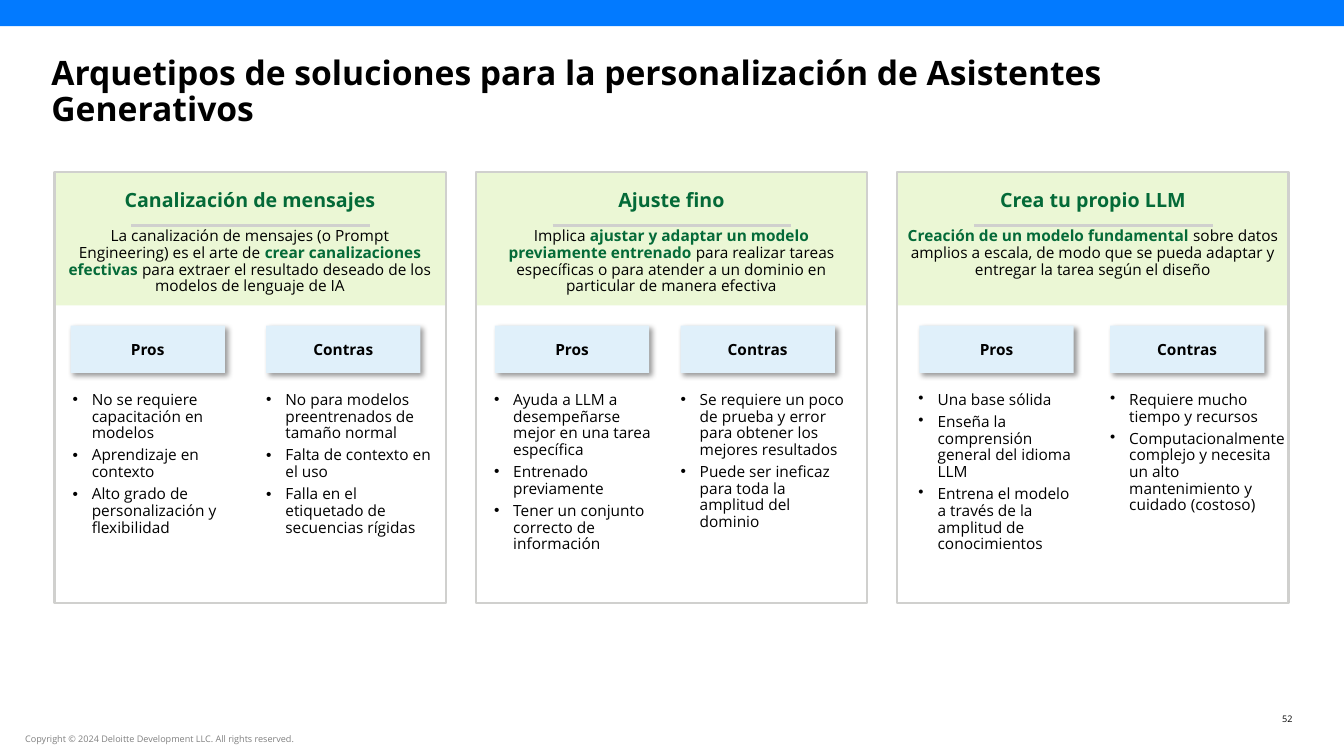
import dataclasses

import lxml.etree
import pptx
import pptx.dml.color
import pptx.enum.shapes
import pptx.enum.text
import pptx.oxml
import pptx.oxml.ns
import pptx.util

Inches = pptx.util.Inches
Pt = pptx.util.Pt
ALIGN = pptx.enum.text.PP_ALIGN
ANCHOR = pptx.enum.text.MSO_ANCHOR


@dataclasses.dataclass(frozen=True)
class Theme:
    font: str = "Open Sans"
    text: str = "000000"
    accent: str = "046A38"
    muted: str = "808080"
    bar: str = "027AFF"
    header: str = "EBF7D5"
    chip: str = "E0F0FA"
    rule: str = "D0D0CE"
    title_size: float = 24
    heading_size: float = 14
    body_size: float = 11
    small_size: float = 6.5


class SlideBuilder:
    def __init__(self, prs, theme):
        self.theme = theme
        self.slide = prs.slides.add_slide(prs.slide_layouts[4])
        self.shapes = self.slide.shapes
        self.bodies = iter([ph for ph in self.slide.placeholders
                            if ph.placeholder_format.idx > 0])

    def color(self, value):
        return pptx.dml.color.RGBColor.from_string(value)

    def place(self, sp, box):
        for name, value in zip(("left", "top", "width", "height"), box):
            setattr(sp, name, Inches(value))

    def frame(self, sp, inset=(0, 0), anchor=ANCHOR.TOP):
        tf = sp.text_frame
        x, y = map(Inches, inset)
        values = {"margin_left": x, "margin_right": x, "margin_top": y,
                  "margin_bottom": y, "word_wrap": True,
                  "vertical_anchor": anchor,
                  "auto_size": pptx.enum.text.MSO_AUTO_SIZE.NONE}
        for name, value in values.items():
            setattr(tf, name, value)
        return tf

    def paragraph(self, tf, runs, size, align=ALIGN.LEFT, before=0, after=0,
                  spacing=0.9, bullet=False):
        first = not tf.paragraphs[0].runs
        p = tf.paragraphs[0] if first else tf.add_paragraph()
        values = {"alignment": align, "line_spacing": spacing,
                  "space_before": Pt(0 if first else before),
                  "space_after": Pt(after)}
        for name, value in values.items():
            setattr(p, name, value)
        pPr = p._p.get_or_add_pPr()
        indent = Inches(0.19) if bullet else 0
        pPr.set("marL", str(indent))
        pPr.set("indent", str(-indent))
        if bullet:
            bu = lxml.etree.SubElement(pPr, pptx.oxml.ns.qn("a:buChar"))
            bu.set("char", "•")
        for text, color, bold in runs:
            r = p.add_run()
            r.text = text
            values = {"name": self.theme.font, "size": Pt(size), "bold": bold}
            for name, value in values.items():
                setattr(r.font, name, value)
            r.font.color.rgb = self.color(color)

    def title(self, text):
        sp = self.shapes.title
        self.place(sp, (0.51, 0.56, 12.31, 0.82))
        self.paragraph(self.frame(sp), [(text, self.theme.text, True)],
                       self.theme.title_size)

    def rect(self, box, fill=None, line=None):
        sp = self.shapes.add_shape(pptx.enum.shapes.MSO_SHAPE.RECTANGLE,
                                   *map(Inches, box))
        sp.shadow.inherit = False
        if fill:
            sp.fill.solid()
            sp.fill.fore_color.rgb = self.color(fill)
        else:
            sp.fill.background()
        if line:
            sp.line.color.rgb = self.color(line)
            sp.line.width = Pt(1.5)
        else:
            sp.line.fill.background()
        return sp

    def chip(self, left, text):
        sp = self.rect((left, 3.23, 1.53, 0.47), self.theme.chip)
        effects = sp._element.spPr.find(pptx.oxml.ns.qn("a:effectLst"))
        effects.append(pptx.oxml.parse_xml(
            f'<a:outerShdw {pptx.oxml.ns.nsdecls("a")} blurRad="{Pt(4)}" '
            f'dist="{Pt(3)}" dir="2700000" algn="tl" rotWithShape="0">'
            '<a:srgbClr val="000000"><a:alpha val="40000"/></a:srgbClr>'
            '</a:outerShdw>'))
        tf = self.frame(sp, (0, 0.05), ANCHOR.MIDDLE)
        self.paragraph(tf, [(text, self.theme.text, True)],
                       self.theme.body_size, ALIGN.CENTER, spacing=1)

    def divider(self, left, top, width):
        sp = self.shapes.add_connector(
            pptx.enum.shapes.MSO_CONNECTOR.STRAIGHT,
            *map(Inches, (left, top, left + width, top)))
        sp.line.color.rgb = self.color(self.theme.rule)
        sp.line.width = Pt(2.25)
        lxml.etree.SubElement(sp._element.spPr, pptx.oxml.ns.qn("a:effectLst"))

    def textbox(self, box, inset=(0, 0)):
        return self.frame(self.shapes.add_textbox(*map(Inches, box)), inset)

    def label(self, box, text, color, align=ALIGN.LEFT):
        self.paragraph(self.textbox(box), [(text, color, False)],
                       self.theme.small_size, align, spacing=1)

    def bullets(self, left, width, items):
        box = (left, 3.89, width, 1.78)
        sp = next(self.bodies, None)
        if sp is None:
            tf = self.textbox(box)
        else:
            self.place(sp, box)
            tf = self.frame(sp)
        for item in items:
            self.paragraph(tf, [(item, self.theme.text, False)],
                           self.theme.body_size, before=2, after=2, bullet=True)

    def card(self, left, heading, summary, columns):
        t = self.theme
        self.rect((left, 1.71, 3.88, 1.32), fill=t.header)
        self.rect((left, 1.71, 3.88, 4.27), line=t.rule)
        tf = self.textbox((left, 1.84, 3.88, 1.25), (0.1, 0.05))
        self.paragraph(tf, [(heading, t.accent, True)], t.heading_size,
                       ALIGN.CENTER)
        runs = [(text, t.accent if strong else t.text, strong)
                for text, strong in summary]
        self.paragraph(tf, runs, t.body_size, ALIGN.CENTER, before=12)
        self.divider(left + 0.76, 2.24, 2.37)
        for name, (chip_left, list_left, width, items) in zip(
                ("Pros", "Contras"), columns):
            self.chip(chip_left, name)
            self.bullets(list_left, width, items)


CARDS = [
    ("Canalización de mensajes",
     [("La canalización de mensajes (o Prompt Engineering) es el arte de ", False),
      ("crear canalizaciones efectivas ", True),
      ("para extraer el resultado deseado de los modelos de lenguaje de IA", False)],
     [(0.7, 0.72, 1.51, ["No se requiere capacitación en modelos",
                         "Aprendizaje en contexto",
                         "Alto grado de personalización y flexibilidad"]),
      (2.64, 2.64, 1.64, ["No para modelos preentrenados de tamaño normal",
                          "Falta de contexto en el uso",
                          "Falla en el etiquetado de secuencias rígidas"])]),
    ("Ajuste fino",
     [("Implica ", False),
      ("ajustar y adaptar un modelo previamente entrenado ", True),
      ("para realizar tareas específicas o para atender a un dominio en "
       "particular de manera efectiva", False)],
     [(4.91, 4.9, 1.56, ["Ayuda a LLM a desempeñarse mejor en una tarea específica",
                         "Entrenado previamente",
                         "Tener un conjunto correcto de información"]),
      (6.75, 6.75, 1.65, ["Se requiere un poco de prueba y error para obtener "
                          "los mejores resultados",
                          "Puede ser ineficaz para toda la amplitud del dominio"])]),
    ("Crea tu propio LLM",
     [("Creación de un modelo fundamental ", True),
      ("sobre datos amplios a escala, de modo que se pueda adaptar y entregar "
       "la tarea según el diseño", False)],
     [(9.12, 9.11, 1.6, ["Una base sólida",
                         "Enseña la comprensión general del idioma LLM",
                         "Entrena el modelo a través de la amplitud de conocimientos"]),
      (11.01, 11.01, 1.75, ["Requiere mucho tiempo y recursos",
                            "Computacionalmente complejo y necesita un alto "
                            "mantenimiento y cuidado (costoso)"])]),
]


def main():
    prs = pptx.Presentation()
    prs.slide_width, prs.slide_height = Inches(13.33), Inches(7.5)
    theme = Theme()
    s = SlideBuilder(prs, theme)
    s.rect((0, 0, 13.33, 0.26), fill=theme.bar)
    s.title("Arquetipos de soluciones para la personalización de Asistentes Generativos")
    for i, (heading, summary, columns) in enumerate(CARDS):
        s.card(0.54 + 4.18 * i, heading, summary, columns)
    s.label((0.25, 7.28, 5.86, 0.11),
            "Copyright © 2024 Deloitte Development LLC. All rights reserved.", theme.muted)
    s.label((12.48, 7.08, 0.34, 0.11), "52", theme.text, ALIGN.RIGHT)
    prs.save("out.pptx")


if __name__ == "__main__":
    main()
